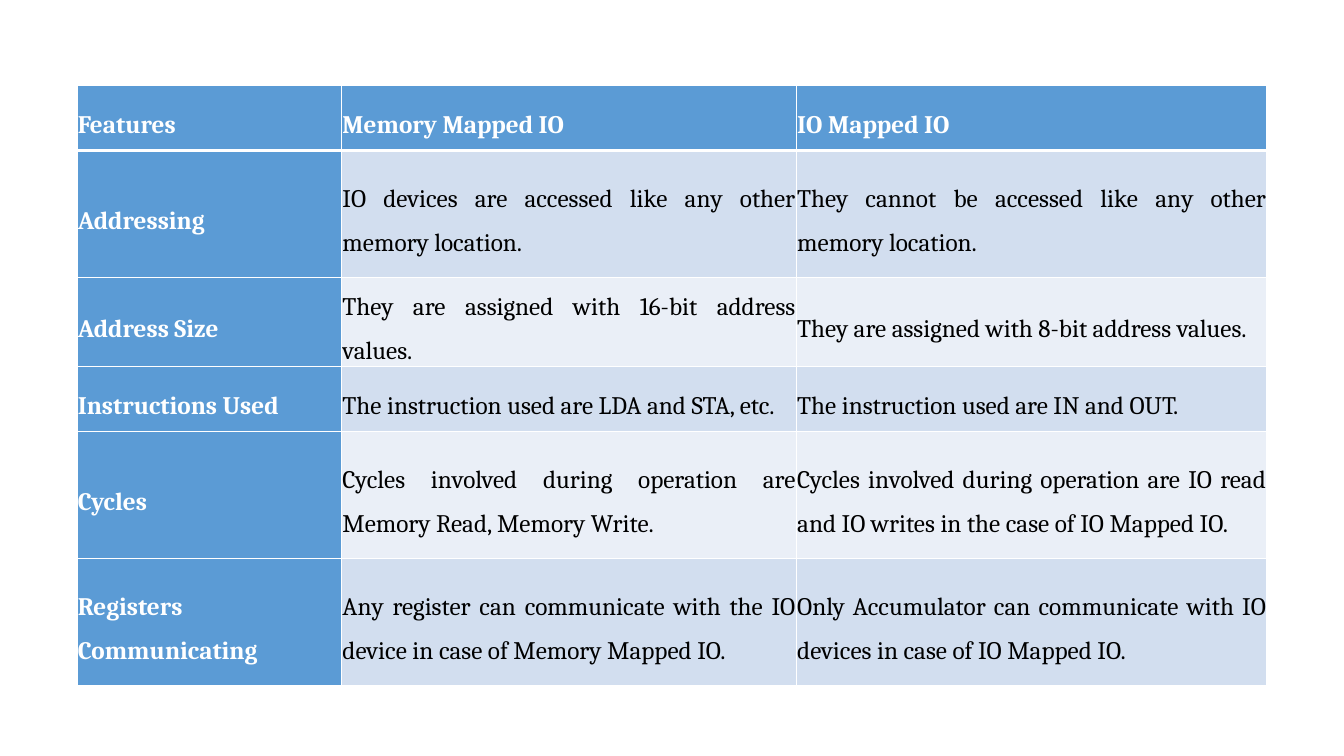
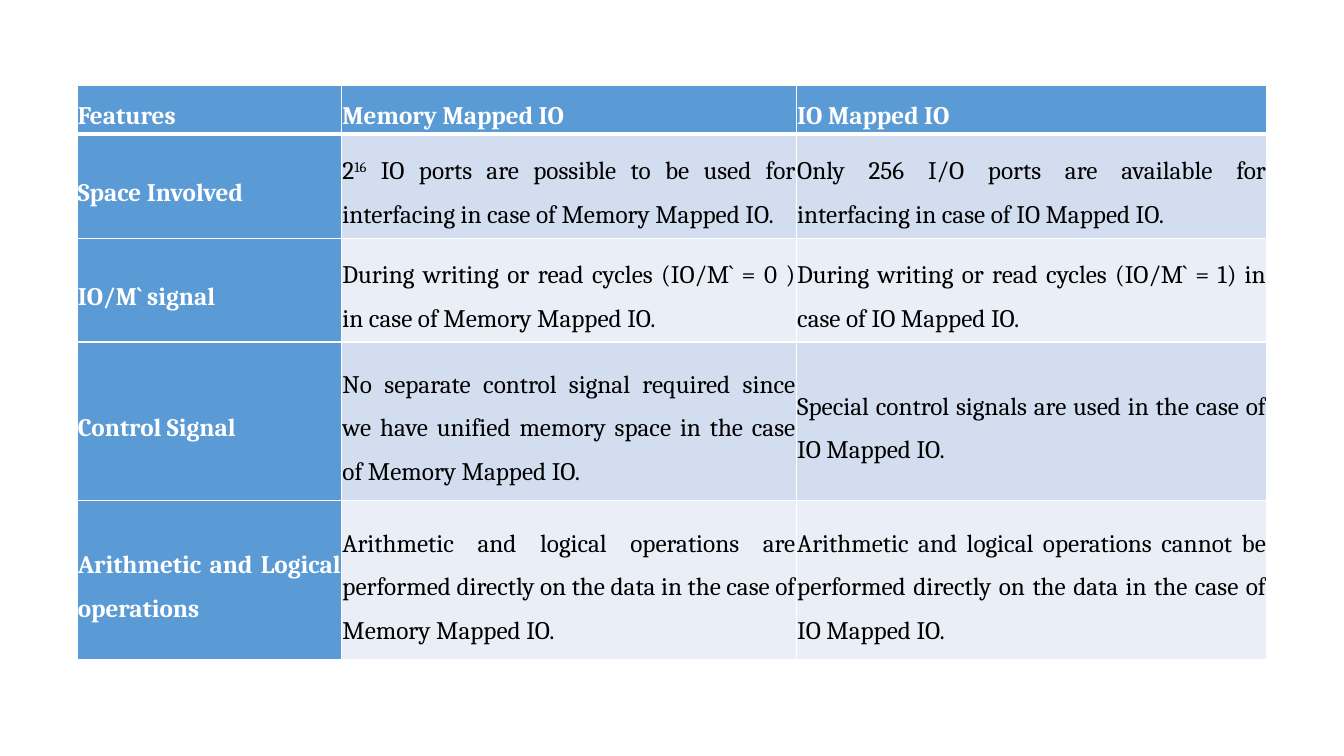
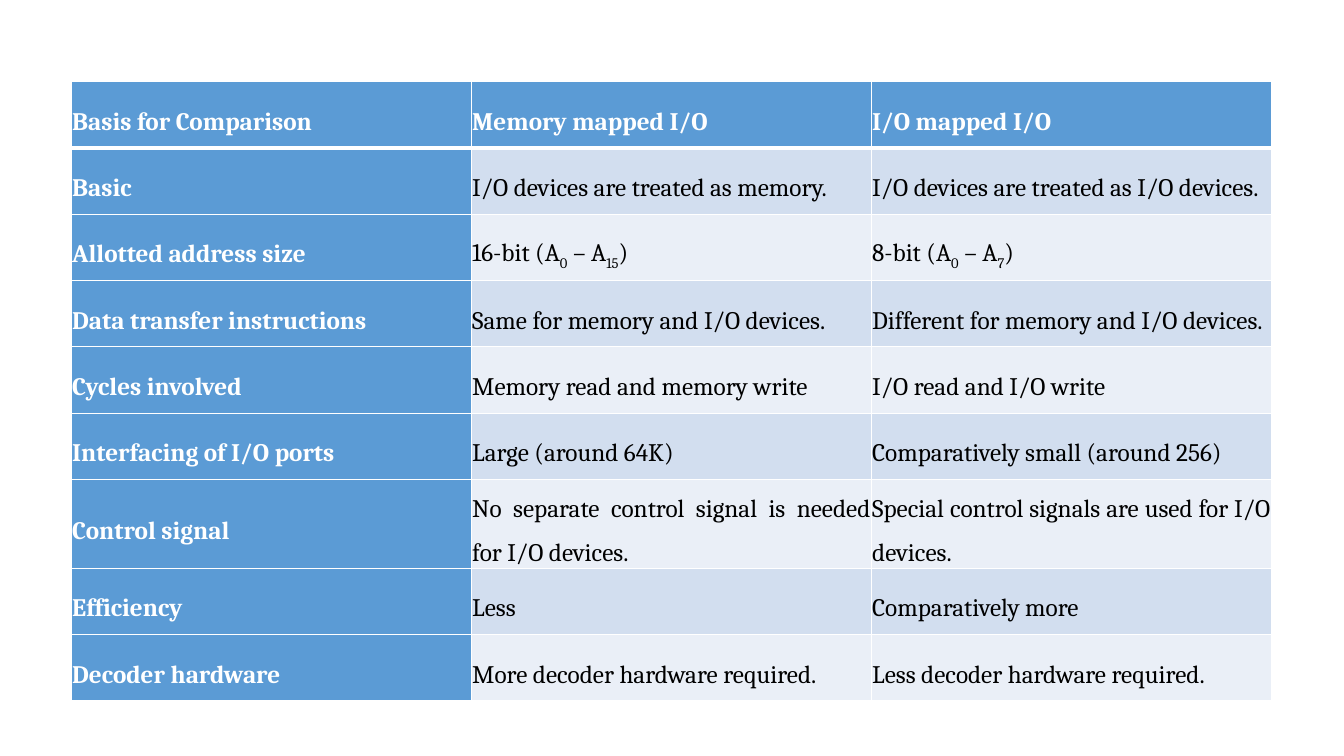
from lxml import etree
from pptx import Presentation
from pptx.dml.color import RGBColor
from pptx.enum.text import MSO_ANCHOR, PP_ALIGN
from pptx.oxml.ns import qn
from pptx.util import Cm, Pt

MIDDLE = MSO_ANCHOR.MIDDLE
JUSTIFY = PP_ALIGN.JUSTIFY

# Shared look
FONT = "Cambria"
WHITE, BLACK = "FFFFFF", "000000"
HEADING_FILL = "5B9BD5"
BAND_FILLS = ("D2DEEF", "EAEFF7")
THIN, THICK = 1, 3
CELL_INSET = Cm(0.02)
SUPERSCRIPT, SUBSCRIPT = 30, -25

# Table boxes: left, top, column widths, in cm
FEATURE_BOX = (1.94, 2.14, (6.67, 11.46, 11.86))
BASIS_BOX = (1.8, 2.06, (10.08, 10.08, 10.08))

FEATURE_HEADER = ("Features", "Memory Mapped IO", "IO Mapped IO")

# Each row: height in cm, then its cells
ACCESS_ROWS = [
    (1.65, FEATURE_HEADER),
    (3.2, ("Addressing",
           "IO devices are accessed like any other memory location.",
           "They cannot be accessed like any other memory location.")),
    (1.65, ("Address Size",
            "They are assigned with 16-bit address values.",
            "They are assigned with 8-bit address values.")),
    (1.65, ("Instructions Used",
            "The instruction used are LDA and STA, etc.",
            "The instruction used are IN and OUT.")),
    (3.2, ("Cycles",
           "Cycles involved during operation are Memory Read, Memory Write.",
           "Cycles involved during operation are IO read and IO writes in the "
           "case of IO Mapped IO.")),
    (3.2, ("Registers Communicating",
           "Any register can communicate with the IO device in case of "
           "Memory Mapped IO.",
           "Only Accumulator can communicate with IO devices in case of "
           "IO Mapped IO.")),
]

SIGNAL_ROWS = [
    (1.24, FEATURE_HEADER),
    (2.62, ("Space Involved",
            ["2", ("16", SUPERSCRIPT),
             " IO ports are possible to be used for interfacing in case of "
             "Memory Mapped IO."],
            "Only 256 I/O ports are available for interfacing in case of "
            "IO Mapped IO.")),
    (2.62, ("IO/M` signal",
            "During writing or read cycles (IO/M` = 0 ) in case of "
            "Memory Mapped IO.",
            "During writing or read cycles (IO/M` = 1) in case of "
            "IO Mapped IO.")),
    (4, ("Control Signal",
         "No separate control signal required since we have unified memory "
         "space in the case of Memory Mapped IO.",
         "Special control signals are used in the case of IO Mapped IO.")),
    (4, ("Arithmetic and Logical operations",
         "Arithmetic and logical operations are performed directly on the "
         "data in the case of Memory Mapped IO.",
         "Arithmetic and logical operations cannot be performed directly on "
         "the data in the case of IO Mapped IO.")),
]


def address_range(size, last):
    return [f"{size} (A", ("0", SUBSCRIPT), " – A", (last, SUBSCRIPT), ")"]


BASIS_ROWS = [(1.67, cells) for cells in (
    ("Basis for Comparison", "Memory mapped I/O", "I/O mapped I/O"),
    ("Basic", "I/O devices are treated as memory.",
     "I/O devices are treated as I/O devices."),
    ("Allotted address size", address_range("16-bit", "15"),
     address_range("8-bit", "7")),
    ("Data transfer instructions", "Same for memory and I/O devices.",
     "Different for memory and I/O devices."),
    ("Cycles involved", "Memory read and memory write",
     "I/O read and I/O write"),
    ("Interfacing of I/O ports", "Large (around 64K)",
     "Comparatively small (around 256)"),
    ("Control signal",
     "No separate control signal is needed for I/O devices.",
     "Special control signals are used for I/O devices."),
    ("Efficiency", "Less", "Comparatively more"),
    ("Decoder hardware", "More decoder hardware required.",
     "Less decoder hardware required."),
)]


def paint(color_format, hex_color):
    color_format.rgb = RGBColor.from_string(hex_color)


def write_text(frame, content, *, color=BLACK, bold=False, size=18, after=0):
    """Write a string, or a list of strings and (text, baseline) pairs."""
    paragraph = frame.paragraphs[0]
    paragraph.alignment = JUSTIFY
    paragraph.line_spacing = 1.5
    paragraph.space_after = Pt(after)
    for part in [content] if isinstance(content, str) else content:
        text, baseline = (part, 0) if isinstance(part, str) else part
        run = paragraph.add_run()
        run.text = text
        run.font.name, run.font.size, run.font.bold = FONT, Pt(size), bold
        paint(run.font.color, color)
        if baseline:
            run._r.get_or_add_rPr().set("baseline", str(baseline * 1000))


def set_borders(cell, top, bottom):
    properties = cell._tc.get_or_add_tcPr()
    for side, width in (("L", THIN), ("R", THIN), ("T", top), ("B", bottom)):
        line = etree.SubElement(properties, qn(f"a:ln{side}"), w=str(Pt(width)))
        fill = etree.SubElement(line, qn("a:solidFill"))
        etree.SubElement(fill, qn("a:srgbClr"), val=WHITE)


def comparison_table(slide, box, rows, after=0):
    left, top, widths = box
    table = slide.shapes.add_table(
        len(rows), len(widths), Cm(left), Cm(top), Cm(sum(widths)),
        Cm(sum(height for height, _ in rows))).table
    table.horz_banding = False
    for column, width in zip(table.columns, widths):
        column.width = Cm(width)

    for r, (height, contents) in enumerate(rows):
        table.rows[r].height = Cm(height)
        for c, content in enumerate(contents):
            cell = table.cell(r, c)
            heading = r == 0 or c == 0
            # A thick rule parts the header from the body
            set_borders(cell, THICK if r == 1 else THIN,
                        THICK if r == 0 else THIN)
            cell.fill.solid()
            paint(cell.fill.fore_color,
                  HEADING_FILL if heading else BAND_FILLS[(r - 1) % 2])
            cell.vertical_anchor = MIDDLE
            cell.margin_left = cell.margin_right = CELL_INSET
            cell.margin_top = cell.margin_bottom = CELL_INSET
            write_text(cell.text_frame, content, bold=heading, after=after,
                       color=WHITE if heading else BLACK)


def main():
    deck = Presentation()
    deck.slide_width, deck.slide_height = Cm(33.87), Cm(19.05)
    blank = deck.slide_layouts[6]
    for box, rows, after in ((FEATURE_BOX, ACCESS_ROWS, 0),
                             (FEATURE_BOX, SIGNAL_ROWS, 0),
                             (BASIS_BOX, BASIS_ROWS, 8)):
        comparison_table(deck.slides.add_slide(blank), box, rows, after)
    deck.save("out.pptx")


if __name__ == "__main__":
    main()
